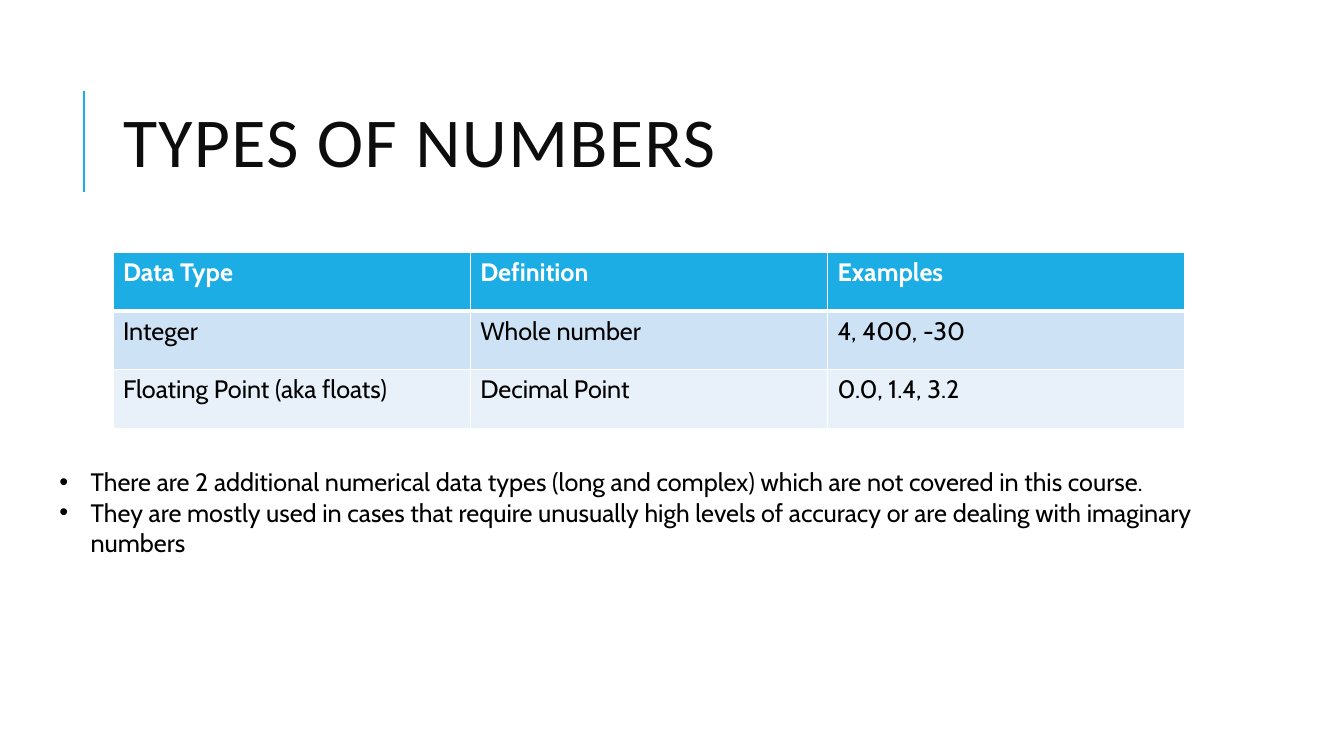
import pptx
import pptx.dml.color
import pptx.enum.shapes
import pptx.enum.text
import pptx.oxml
import pptx.oxml.ns
import pptx.util
from lxml import etree

PX = 9144  # EMU in one px, 100 px to the inch
BLUE = pptx.dml.color.RGBColor(0x1C, 0xAD, 0xE4)
MID_BLUE = pptx.dml.color.RGBColor(0xCD, 0xE3, 0xF5)
PALE_BLUE = pptx.dml.color.RGBColor(0xE8, 0xF1, 0xFA)
INK = pptx.dml.color.RGBColor(0x0D, 0x0D, 0x0D)
BLACK = pptx.dml.color.RGBColor(0, 0, 0)
WHITE = pptx.dml.color.RGBColor(0xFF, 0xFF, 0xFF)
qn = pptx.oxml.ns.qn


def style_text(para, font_name, size, color, bold=False):
    for span in para.runs:
        span.font.name = font_name
        span.font.size = pptx.util.Pt(size)
        span.font.color.rgb = color
        span.font.bold = bold


def add_border(cell, side, points):
    line = etree.SubElement(cell._tc.get_or_add_tcPr(), qn("a:ln" + side),
                            w=str(pptx.util.Pt(points)))
    fill = etree.SubElement(line, qn("a:solidFill"))
    etree.SubElement(fill, qn("a:srgbClr"), val=str(WHITE))


deck = pptx.Presentation()
deck.slide_width = 1333 * PX
deck.slide_height = 750 * PX
page = deck.slides.add_slide(deck.slide_layouts[5])

# Accent line beside the title
accent = page.shapes.add_connector(pptx.enum.shapes.MSO_CONNECTOR.STRAIGHT,
                                   83 * PX, 190 * PX, 83 * PX, 90 * PX)
accent.line.color.rgb = BLUE
accent.line.width = pptx.util.Pt(1.5)
etree.SubElement(accent._element.spPr, qn("a:effectLst"))

# Title
title = page.shapes.title
title.left, title.top, title.width, title.height = (
    n * PX for n in (112, 64, 1063, 164))
title.text_frame.text = "TYPES OF NUMBERS"
title.text_frame.vertical_anchor = pptx.enum.text.MSO_ANCHOR.MIDDLE
para = title.text_frame.paragraphs[0]
para.alignment = pptx.enum.text.PP_ALIGN.LEFT
para.line_spacing = 0.8
style_text(para, "Calibri", 50, INK)
para.runs[0].font._element.set("spc", "100")

# Table of number types
rows = [
    ("Data Type", "Definition", "Examples"),
    ("Integer", "Whole number", "4, 400, -30"),
    ("Floating Point (aka floats)", "Decimal Point", "0.0, 1.4, 3.2"),
]
row_fills = [BLUE, MID_BLUE, PALE_BLUE]
table = page.shapes.add_table(3, 3, 112 * PX, 250 * PX,
                              1063 * PX, 175 * PX).table
for r, words in enumerate(rows):
    header = r == 0
    for c, word in enumerate(words):
        cell = table.cell(r, c)
        cell.text_frame.text = word
        style_text(cell.text_frame.paragraphs[0], "Cabin", 18,
                   WHITE if header else BLACK, header)
        for side in "LRTB":
            under_header = (r, side) in ((0, "B"), (1, "T"))
            add_border(cell, side, 3 if under_header else 1)
        cell.fill.solid()
        cell.fill.fore_color.rgb = row_fills[r]

# Notes below the table
notes = [
    "There are 2 additional numerical data types (long and complex) "
    "which are not covered in this course.",
    "They are mostly used in cases that require unusually high levels of "
    "accuracy or are dealing with imaginary numbers",
]
box = page.shapes.add_textbox(49 * PX, 458 * PX, 1205 * PX, 71 * PX)
box.text_frame.word_wrap = True
box.text_frame.auto_size = pptx.enum.text.MSO_AUTO_SIZE.SHAPE_TO_FIT_TEXT
box.text_frame.text = "\n".join(notes)
for para in box.text_frame.paragraphs:
    style_text(para, "Cabin", 18, BLACK)
    props = para._p.get_or_add_pPr()
    props.set("marL", str(31 * PX))
    props.set("indent", str(-31 * PX))
    etree.SubElement(props, qn("a:buFont"), typeface="Arial")
    etree.SubElement(props, qn("a:buChar"), char="•")

deck.save("out.pptx")
